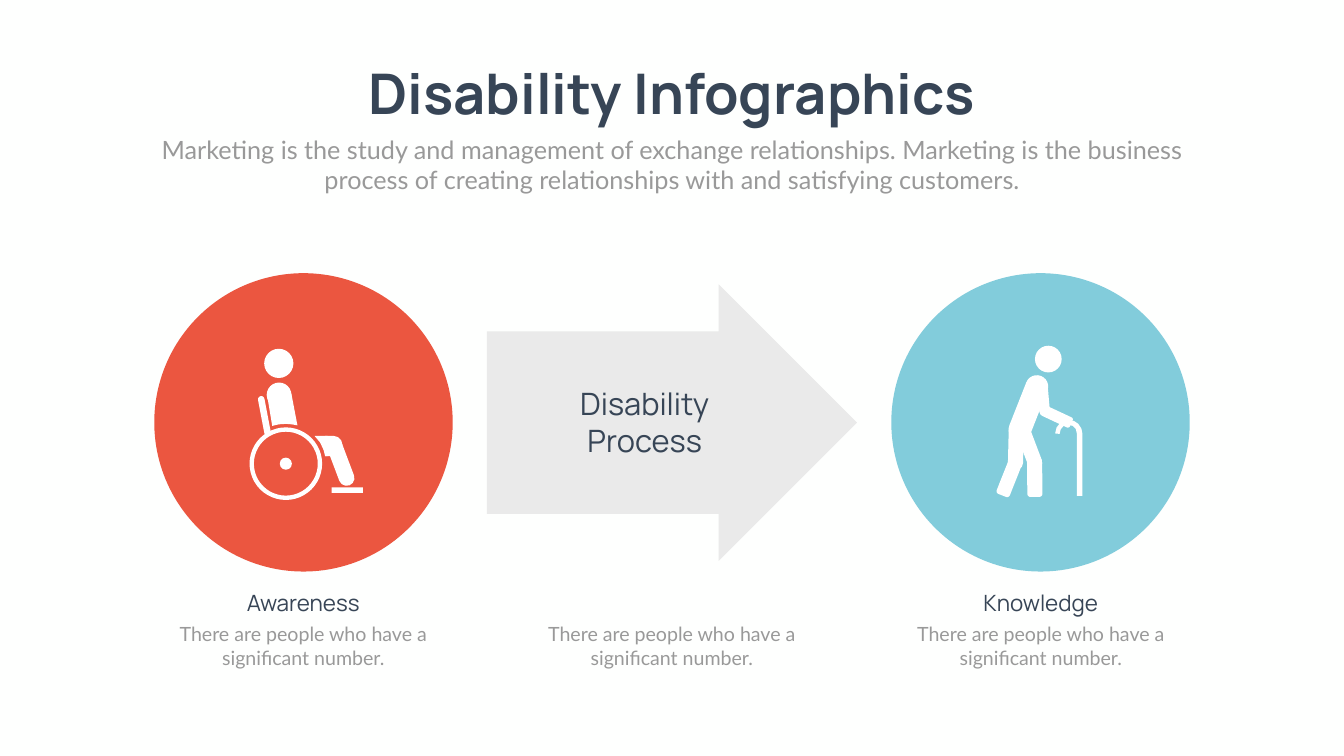
from math import atan2, degrees, hypot

from pptx import Presentation
from pptx.dml.color import RGBColor
from pptx.enum.shapes import MSO_SHAPE
from pptx.enum.text import MSO_ANCHOR, MSO_AUTO_SIZE, PP_ALIGN
from pptx.util import Inches, Pt

NAVY, GRAY, WHITE = "374556", "999999", "FFFFFF"
RED, BLUE, PALE = "EB5640", "82CCDB", "EAEAEA"


def color(value):
    return RGBColor.from_string(value)


def write_text(shape, text, font="Lato", size=28, fill=GRAY, bold=False):
    frame = shape.text_frame
    frame.word_wrap = True
    frame.auto_size = MSO_AUTO_SIZE.NONE
    frame.vertical_anchor = MSO_ANCHOR.TOP
    paragraph = frame.paragraphs[0]
    paragraph.alignment = PP_ALIGN.CENTER
    run = paragraph.add_run()
    run.text = text
    run.font.name = font
    run.font.size = Pt(size)
    run.font.bold = bold
    run.font.color.rgb = color(fill)


presentation = Presentation()
presentation.slide_width = Inches(26.66)
presentation.slide_height = Inches(15)
slide = presentation.slides.add_slide(presentation.slide_layouts[5])
slide.background.fill.solid()
slide.background.fill.fore_color.rgb = color("FEFFFE")

# Title
title = slide.shapes.title
title.left, title.top = Inches(6.71), Inches(1.12)
title.width, title.height = Inches(13.24), Inches(1.45)
write_text(title, "Disability Infographics", font="Manrope", size=80, fill=NAVY, bold=True)

# Circles, arrow and the plain parts of both figures:
# kind, left, top, width, height, colour, adjustments
presets = [
    (MSO_SHAPE.OVAL, 17.68, 5.42, 5.92, 5.92, BLUE, []),
    (MSO_SHAPE.OVAL, 3.06, 5.42, 5.92, 5.92, RED, []),
    (MSO_SHAPE.RIGHT_ARROW, 9.66, 5.64, 7.34, 5.49, PALE, [0.66, 0.5]),
    # Wheelchair user: head, shoulder, hub, wheel, footrest
    (MSO_SHAPE.OVAL, 5.24, 6.92, 0.58, 0.58, WHITE, []),
    (MSO_SHAPE.OVAL, 5.29, 7.59, 0.49, 0.49, WHITE, []),
    (MSO_SHAPE.OVAL, 5.55, 9.08, 0.24, 0.24, WHITE, []),
    (MSO_SHAPE.DONUT, 4.95, 8.48, 1.44, 1.44, WHITE, [0.06]),
    (MSO_SHAPE.RECTANGLE, 6.58, 9.67, 0.62, 0.11, WHITE, []),
    # Walker: head
    (MSO_SHAPE.OVAL, 20.53, 6.86, 0.53, 0.53, WHITE, []),
]
painted = []
for kind, left, top, width, height, fill, adjustments in presets:
    shape = slide.shapes.add_shape(
        kind, Inches(left), Inches(top), Inches(width), Inches(height))
    for index, value in enumerate(adjustments):
        shape.adjustments[index] = value
    painted.append((shape, fill))

# Limbs: x and y of the round end, x and y of the other end, width, rounding there
limbs = [
    # Wheelchair user: lower leg, thigh, backrest
    (6.93, 9.63, 6.61, 8.78, 0.31, 0.2),
    (6.79, 8.85, 6.45, 8.85, 0.4, 0),
    (5.17, 7.86, 5.32, 8.65, 0.13, 0.5),
    # Walker: torso, upper arm, forearm
    (20.65, 7.46, 20.15, 8.73, 0.45, 0.5),
    (20.67, 7.57, 20.73, 8.26, 0.21, 0.5),
    (20.63, 8.11, 21.25, 8.4, 0.22, 0.2),
    # Walker: rear thigh and shin, front thigh and shin
    (20.14, 9.33, 20.16, 8.49, 0.3, 0.2),
    (20.19, 9.05, 19.88, 9.83, 0.28, 0.2),
    (20.58, 9.31, 20.28, 8.52, 0.29, 0.2),
    (20.52, 9.03, 20.53, 9.86, 0.3, 0.2),
]
for x1, y1, x2, y2, width, rounding in limbs:
    length = hypot(x1 - x2, y1 - y2)
    shape = slide.shapes.add_shape(
        MSO_SHAPE.ROUND_2_SAME_RECTANGLE,
        Inches((x1 + x2 - width) / 2), Inches((y1 + y2 - length) / 2),
        Inches(width), Inches(length))
    shape.rotation = degrees(atan2(x1 - x2, y2 - y1))
    shape.adjustments[0] = 0.5
    shape.adjustments[1] = rounding
    painted.append((shape, WHITE))

# Outlines: seated torso, seat beside the wheel, cane
outlines = [
    [(5.3, 7.85), (5.34, 7.83), (5.74, 7.77), (5.78, 7.81), (5.9, 8.44),
     (5.79, 8.42), (5.67, 8.41), (5.53, 8.42), (5.4, 8.45)],
    [(6.24, 8.65), (6.5, 8.65), (6.5, 9.05), (6.45, 9.05), (6.42, 8.93),
     (6.35, 8.78)],
    [(21.47, 9.84), (21.36, 9.84), (21.36, 8.6), (21.34, 8.51), (21.28, 8.45),
     (21.19, 8.43), (21.1, 8.45), (21.04, 8.52), (21.02, 8.61), (20.93, 8.6),
     (20.96, 8.48), (21.04, 8.38), (21.2, 8.34), (21.3, 8.35), (21.39, 8.41),
     (21.45, 8.5), (21.47, 8.6)],
]
for points in outlines:
    corners = [(Inches(x), Inches(y)) for x, y in points]
    builder = slide.shapes.build_freeform(*corners[0])
    builder.add_line_segments(corners[1:], close=True)
    painted.append((builder.convert_to_shape(), WHITE))

for shape, fill in painted:
    shape.fill.solid()
    shape.fill.fore_color.rgb = color(fill)
    shape.line.fill.background()
    shape.shadow.inherit = False

# Subtitle, arrow label, captions and descriptions
heading = {"font": "Manrope", "size": 32, "fill": NAVY}
columns = [3.34, 10.65, 17.97]
texts = [
    (2.92, 2.61, 20.82, 1.31,
     "Marketing is the study and management of exchange relationships. "
     "Marketing is the business process of creating relationships with and "
     "satisfying customers.", {"size": 36}),
    (10.82, 7.59, 3.94, 1.58, "Disability Process", {**heading, "size": 44}),
    (columns[0], 11.64, 5.35, 0.64, "Awareness", heading),
    (columns[2], 11.64, 5.35, 0.64, "Knowledge", heading),
]
for left in columns:
    texts.append((left, 12.3, 5.35, 1.04,
                  "There are people who have a significant number.", {}))
for left, top, width, height, text, style in texts:
    box = slide.shapes.add_textbox(
        Inches(left), Inches(top), Inches(width), Inches(height))
    write_text(box, text, **style)

presentation.save("out.pptx")
